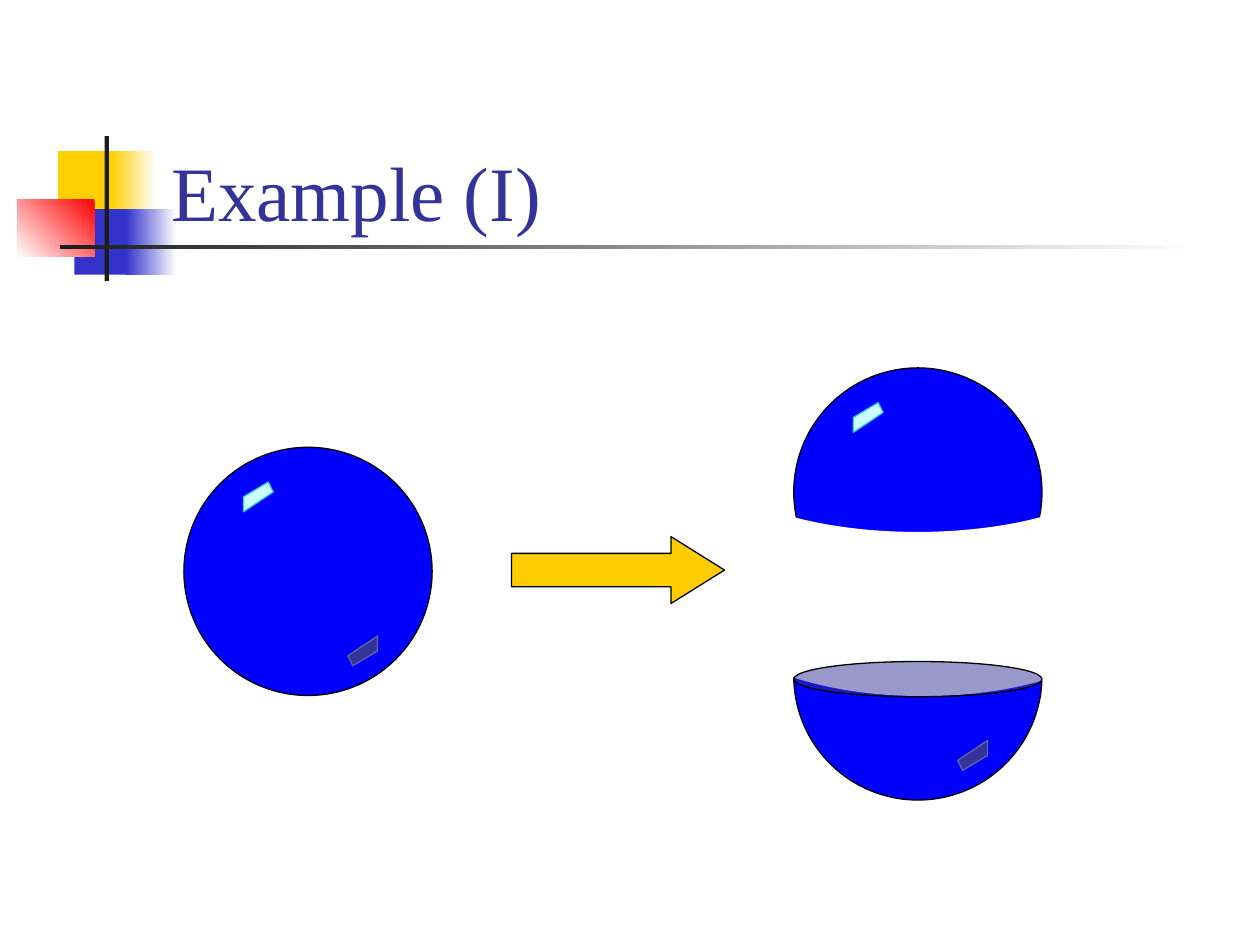
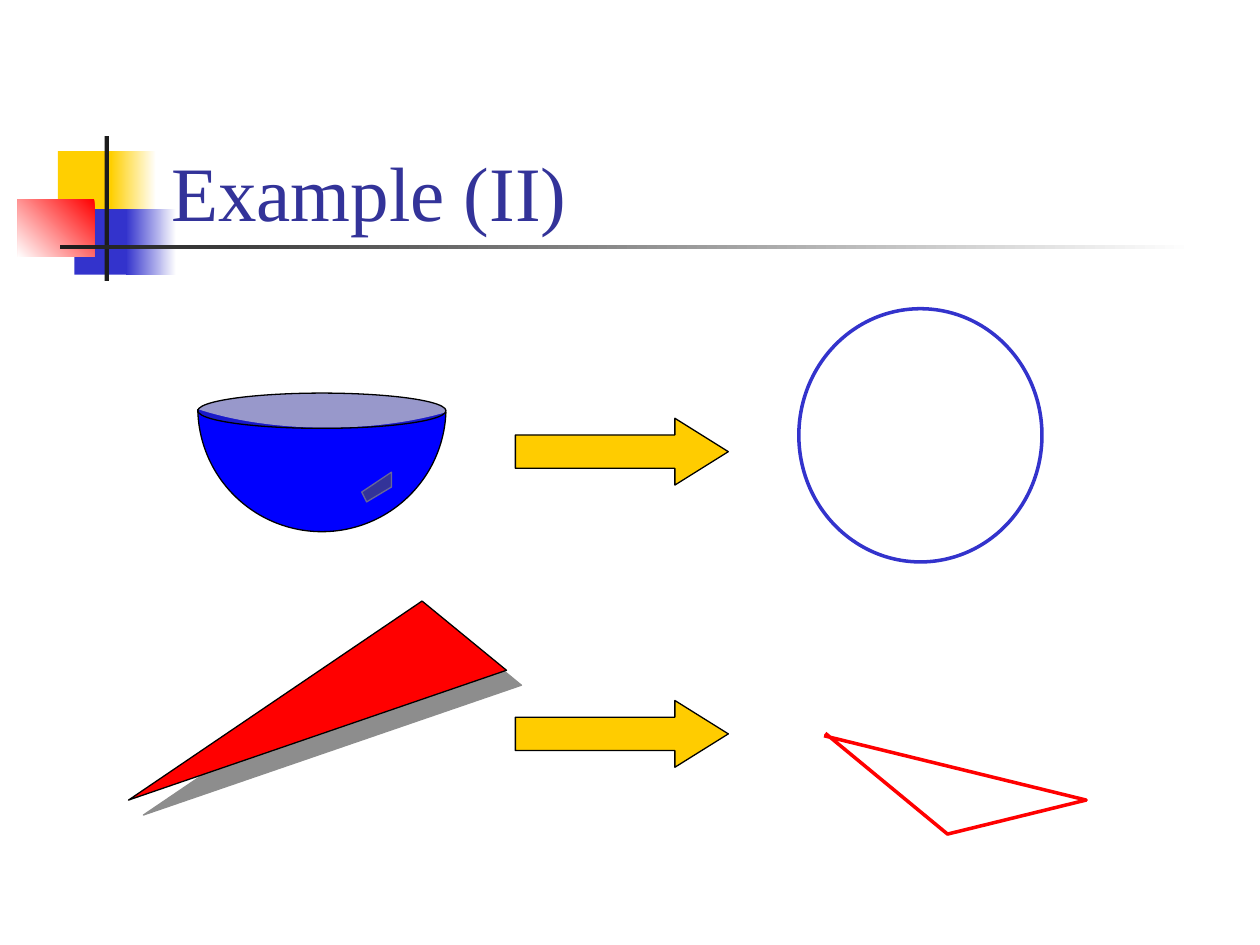
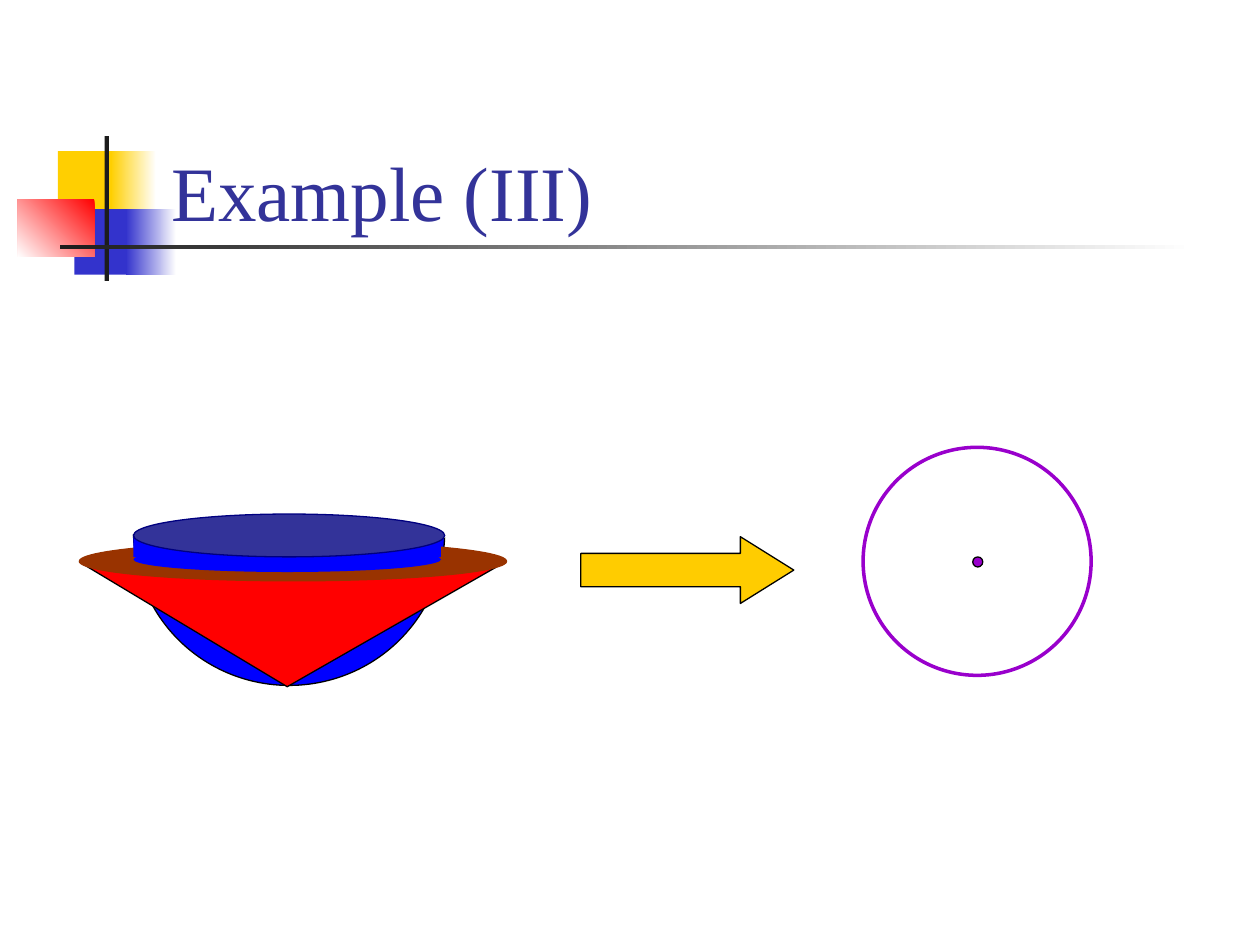
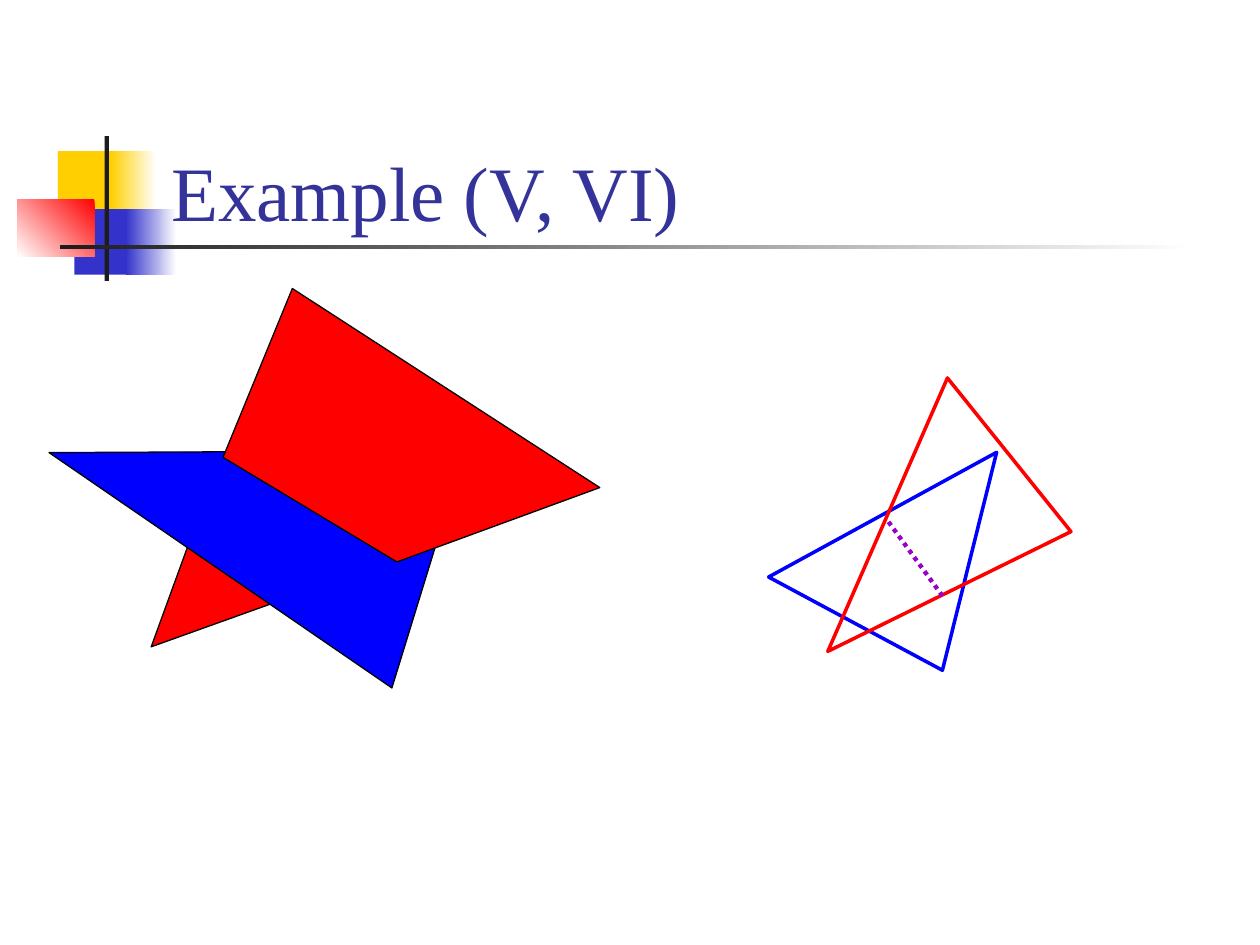
from dataclasses import dataclass

from lxml.etree import SubElement
from pptx import Presentation
from pptx.dml.color import RGBColor
from pptx.enum.dml import MSO_LINE
from pptx.enum.shapes import MSO_CONNECTOR, MSO_SHAPE
from pptx.enum.text import MSO_ANCHOR, MSO_AUTO_SIZE, PP_ALIGN
from pptx.oxml.ns import qn
from pptx.util import Inches, Pt


@dataclass(frozen=True)
class Theme:
    font: str = "Times New Roman"
    title_size: int = 44
    thin: float = 0.75
    thick: float = 2
    dotted: float = 2.5
    white: str = "FFFFFF"
    black: str = "000000"
    ink: str = "1C1C1C"
    yellow: str = "FFCF01"
    arrow: str = "FFCC00"
    indigo: str = "3333CC"
    title: str = "333399"
    slate: str = "666699"
    navy: str = "000080"
    blue: str = "0000FF"
    red: str = "FF0000"
    brown: str = "993300"
    purple: str = "9900CC"
    shine: str = "CCFFFF"
    shine_edge: str = "33CCCC"


theme = Theme()
presentation = Presentation()
presentation.slide_width = Inches(10)
presentation.slide_height = Inches(7.5)
column = presentation.slide_width / 100
row = presentation.slide_height / 75


def draw(shapes, kind, geometry, fill=None, edge=None, weight=theme.thin, closed=True):
    if kind is None:
        points = [(x * column, y * row) for x, y in geometry]
        builder = shapes.build_freeform(*points[0])
        builder.add_line_segments(points[1:], close=closed)
        shape = builder.convert_to_shape()
    else:
        left, top, width, height = geometry
        shape = shapes.add_shape(
            kind, round(left * column), round(top * row), round(width * column), round(height * row)
        )
    shape.shadow.inherit = False
    if fill is None:
        shape.fill.background()
    elif isinstance(fill, tuple):
        start, end, angle = fill
        shape.fill.gradient()
        shape.fill.gradient_angle = angle
        for stop, color in zip(shape.fill.gradient_stops, (start, end)):
            stop.color.rgb = RGBColor.from_string(color)
    else:
        shape.fill.solid()
        shape.fill.fore_color.rgb = RGBColor.from_string(fill)
    if edge is None:
        shape.line.fill.background()
    else:
        shape.line.color.rgb = RGBColor.from_string(edge)
        shape.line.width = Pt(weight)
    return shape


def draw_sphere(slide, left, top, width=19.7, height=19.7):
    shapes = slide.shapes.add_group_shape().shapes
    draw(shapes, MSO_SHAPE.OVAL, (left, top, width, height), theme.blue, theme.black)
    for shift_x, shift_y, turn, fill, edge in (
        (0, 0, 0, theme.shine, theme.shine_edge),
        (0.42, 0.62, 180, theme.title, theme.slate),
    ):
        corners = ((0.24, 0.2), (0.34, 0.14), (0.36, 0.18), (0.24, 0.26))
        points = [(left + (x + shift_x) * width, top + (y + shift_y) * height) for x, y in corners]
        glint = draw(shapes, None, points, fill, edge)
        glint.rotation = turn
    return shapes


layout = presentation.slide_layouts[5]
slides = []
for text in ("Example (I)", "Example (II)", "Example (III)", "Example (V, VI)"):
    slide = presentation.slides.add_slide(layout)
    slides.append(slide)
    title = slide.shapes.title
    title.left, title.top = round(12.6 * column), round(6.8 * row)
    title.width, title.height = round(85.2 * column), round(12.5 * row)
    frame = title.text_frame
    frame.word_wrap = True
    frame.auto_size = MSO_AUTO_SIZE.NONE
    frame.vertical_anchor = MSO_ANCHOR.BOTTOM
    paragraph = frame.paragraphs[0]
    paragraph.alignment = PP_ALIGN.LEFT
    run = paragraph.add_run()
    run.text = text
    run.font.name = theme.font
    run.font.size = Pt(theme.title_size)
    run.font.color.rgb = RGBColor.from_string(theme.title)

cut_slide, boundary_slide, tangent_slide, crossing_slide = slides

decorations = (
    ((4.6, 12, 4.8, 5.2), theme.yellow),
    ((8.8, 12, 3.6, 5.2), (theme.white, theme.yellow, 180)),
    ((5.9, 16.6, 4.6, 5.2), theme.indigo),
    ((10, 16.6, 4, 5.2), (theme.white, theme.indigo, 180)),
    ((1.4, 15.8, 6.1, 4.6), (theme.red, theme.white, 225)),
    ((8.3, 10.8, 0.35, 11.5), theme.ink),
    ((4.8, 19.45, 90, 0.35), (theme.white, theme.ink, 180)),
)
for number, (box, fill) in enumerate(decorations, start=20):
    decoration = draw(cut_slide.shapes, MSO_SHAPE.RECTANGLE, box, fill)
    decoration.element.nvSpPr.cNvPr.id = number
    layout.shapes.element.append(decoration.element)

upper_half = draw_sphere(cut_slide, 63, 29.2)
cover = draw(upper_half, MSO_SHAPE.DONUT, (48, 21.4, 49.6, 28.4), theme.white)
cover.adjustments[0] = 0.267
draw_sphere(cut_slide, 14.6, 35.5)

for slide, left, top in ((cut_slide, 63, 43.8), (boundary_slide, 15.7, 22.5)):
    bowl = draw_sphere(slide, left, top)
    draw(bowl, MSO_SHAPE.OVAL, (left - 5.9, top - 1.55, 32.3, 13), theme.white)
    rim = draw(bowl, MSO_SHAPE.OVAL, (left, top + 8.7, 19.7, 2.8), theme.title, theme.black)
    rim_color = rim.element.spPr.find(qn("a:solidFill")).find(qn("a:srgbClr"))
    SubElement(rim_color, qn("a:alpha"), val="50000")

draw(boundary_slide.shapes, MSO_SHAPE.OVAL, (63.4, 24.5, 19.3, 20.1), None, theme.indigo, theme.thick)
solid_triangle = draw(
    boundary_slide.shapes, None, ((10.2, 63.5), (33.5, 47.7), (40.2, 53.2)), theme.red, theme.black
)
effects = solid_triangle.element.spPr.find(qn("a:effectLst"))
shadow = SubElement(
    effects, qn("a:outerShdw"), blurRad="0", dist=str(Pt(12.1)), dir="2700000", algn="ctr", rotWithShape="0"
)
shadow_color = SubElement(shadow, qn("a:srgbClr"), val=theme.ink)
SubElement(shadow_color, qn("a:alpha"), val="50000")
draw(
    boundary_slide.shapes, None, ((65.5, 58.2), (75.2, 66.2), (86.2, 63.5), (65.4, 58.4)),
    None, theme.red, theme.thick, closed=False,
)

top_toy = draw_sphere(tangent_slide, 10.6, 30, 24.7, 24.4)
draw(top_toy, MSO_SHAPE.OVAL, (3.1, 28.1, 40.6, 16.1), theme.white)
draw(top_toy, None, ((6.3, 44.6), (22.8, 54.5), (40.1, 44.6)), theme.red, theme.black)
for kind, box, fill, edge in (
    (MSO_SHAPE.OVAL, (6.3, 43, 33.9, 3.1), theme.brown, theme.brown),
    (MSO_SHAPE.RECTANGLE, (10.6, 42.6, 24.4, 1.6), theme.blue, None),
    (MSO_SHAPE.OVAL, (10.6, 43.4, 24.4, 2), theme.blue, None),
    (MSO_SHAPE.OVAL, (10.6, 40.8, 24.7, 3.4), theme.title, theme.navy),
):
    draw(top_toy, kind, box, fill, edge)
circle_and_point = tangent_slide.shapes.add_group_shape().shapes
draw(circle_and_point, MSO_SHAPE.OVAL, (68.5, 35.5, 18.1, 18.1), None, theme.purple, theme.thick)
draw(circle_and_point, MSO_SHAPE.OVAL, (77.2, 44.2, 0.8, 0.8), theme.purple, theme.black)

crossing = crossing_slide.shapes
red_tip = draw(crossing, None, ((10.7, 47.7), (20.5, 43.4), (20.5, 52.6)), theme.red, theme.black)
red_tip.rotation = 313.7
blue_plane = draw(crossing, MSO_SHAPE.ISOSCELES_TRIANGLE, (9.1, 24.8, 19.7, 31.5), theme.blue, theme.black)
blue_plane.rotation = 287.1
draw(crossing, None, ((17.7, 36.3), (23.2, 22.9), (47.6, 38.7), (31.5, 44.6)), theme.red, theme.black)
for corners, edge in (
    (((61, 45.8), (74.8, 53.2), (79.1, 35.9)), theme.blue),
    (((65.7, 51.7), (75.2, 30), (85, 42.2)), theme.red),
):
    draw(crossing, None, corners, None, edge, theme.thick)
intersection = crossing.add_connector(
    MSO_CONNECTOR.STRAIGHT, round(74.8 * column), round(47.3 * row), round(70.5 * column), round(41.4 * row)
)
intersection.line.color.rgb = RGBColor.from_string(theme.purple)
intersection.line.width = Pt(theme.dotted)
intersection.line.dash_style = MSO_LINE.ROUND_DOT
SubElement(intersection.element.spPr, qn("a:effectLst"))

for slide, left, top in (
    (cut_slide, 40.6, 42.6),
    (boundary_slide, 40.9, 33.2),
    (boundary_slide, 40.9, 55.6),
    (tangent_slide, 46.1, 42.6),
):
    arrow = draw(slide.shapes, MSO_SHAPE.RIGHT_ARROW, (left, top, 16.9, 5.3), theme.arrow, theme.black)
    arrow.adjustments[1] = 0.8

presentation.save("out.pptx")
